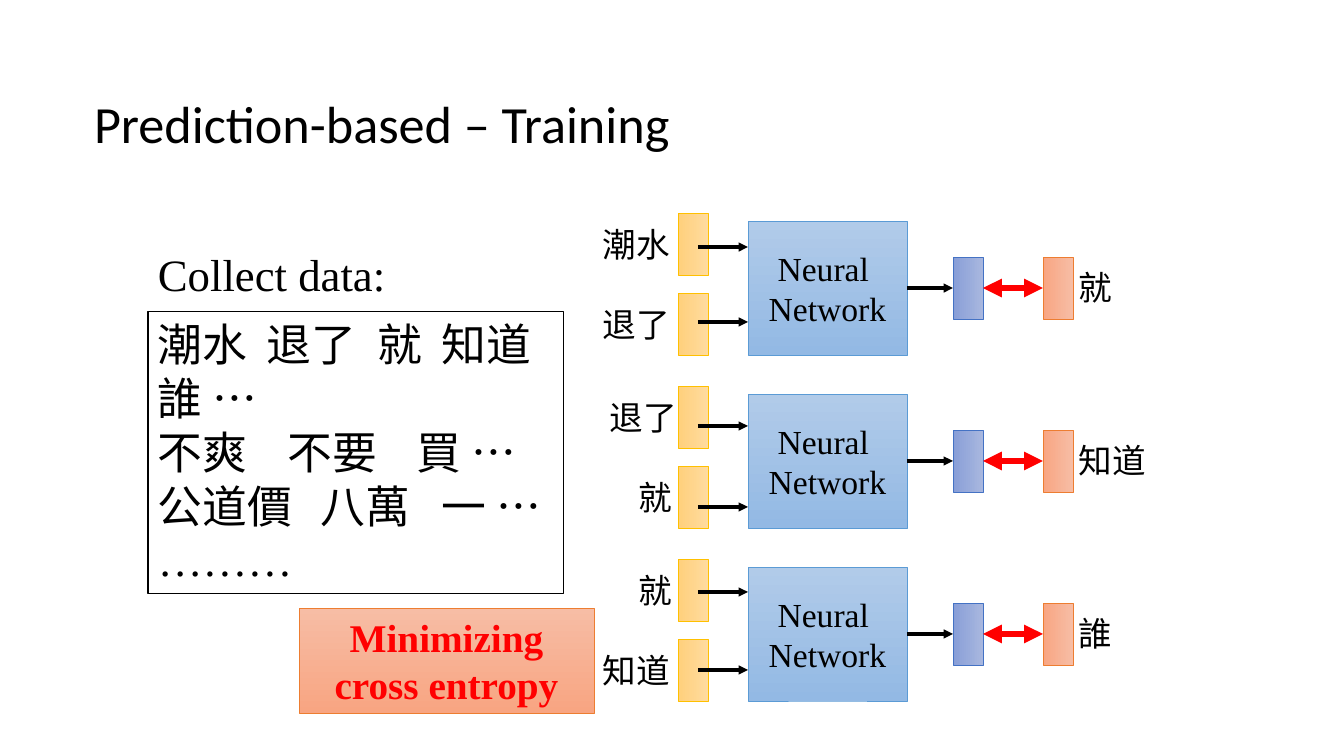
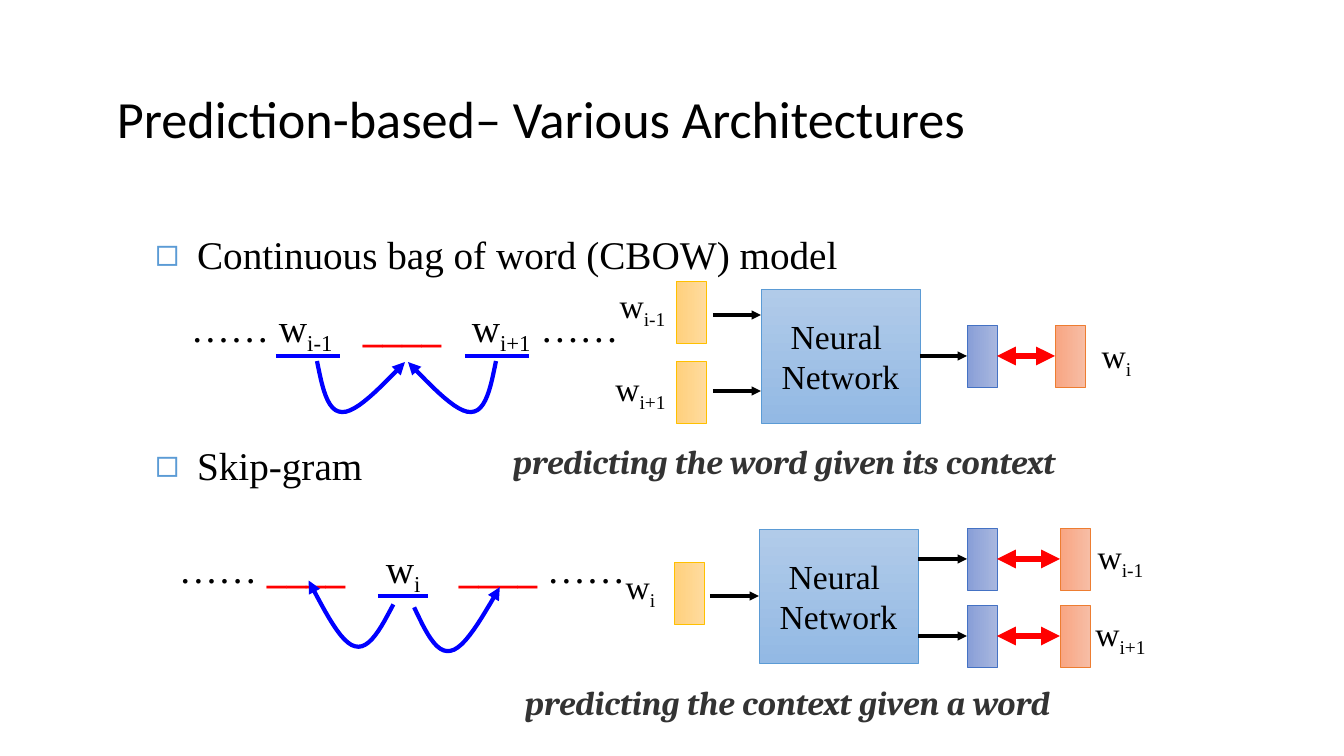
from lxml import etree
from pptx import Presentation
from pptx.dml.color import RGBColor
from pptx.enum.shapes import MSO_CONNECTOR, MSO_SHAPE
from pptx.enum.text import MSO_ANCHOR, PP_ALIGN
from pptx.oxml.ns import qn
from pptx.util import Pt

PX = 914400 / 100.8
RECT = MSO_SHAPE.RECTANGLE
LINE = MSO_CONNECTOR.STRAIGHT
LEFT, MID, RIGHT = PP_ALIGN.LEFT, PP_ALIGN.CENTER, PP_ALIGN.RIGHT
TOP, CENTRE = MSO_ANCHOR.TOP, MSO_ANCHOR.MIDDLE
WEST, EAST = 1, 3

BLACK = RGBColor(0x00, 0x00, 0x00)
GREY = RGBColor(0x33, 0x33, 0x33)
RED = RGBColor(0xFF, 0x00, 0x00)
BLUE = RGBColor(0x00, 0x00, 0xFF)
SKY = RGBColor(0x5B, 0x9B, 0xD5)

# Light end, dark end and outline of each gradient
NET = (RGBColor(0xB1, 0xCB, 0xE9), RGBColor(0x93, 0xB9, 0xE4), SKY)
GOLD = (RGBColor(0xFF, 0xDB, 0x9E), RGBColor(0xFF, 0xD0, 0x7C), RGBColor(0xFF, 0xC0, 0x00))
ROSE = (RGBColor(0xF7, 0xBD, 0xA5), RGBColor(0xF8, 0xA5, 0x82), RGBColor(0xED, 0x7D, 0x31))
IRIS = (RGBColor(0xA8, 0xB7, 0xDF), RGBColor(0x88, 0x9E, 0xD7), RGBColor(0x44, 0x72, 0xC4))
DOWN, BACK = 270, 180

SERIF, SANS, QUOTE = "Times New Roman", "Calibri", "Cambria"
BAR_W, BAR_H = 30, 62
NET_W, NET_H = 159, 134
HOOK = ((0, 0), (5, 25), (10, 51), (25, 51), (39, 52), (63, 27), (88, 1))


def px(n):
    return round(n * PX)


def curve(pts, steps=12):
    """Points along one cubic Bezier, without its start."""
    for k in range(1, steps + 1):
        t = k / steps
        u = 1 - t
        mix = (u ** 3, 3 * u * u * t, 3 * u * t * t, t ** 3)
        yield tuple(sum(m * p[axis] for m, p in zip(mix, pts)) for axis in (0, 1))


def tabs(para, stops):
    tab_list = etree.SubElement(para._p.get_or_add_pPr(), qn("a:tabLst"))
    for stop in stops:
        etree.SubElement(tab_list, qn("a:tab"), pos=str(px(stop)), algn="l")


class Deck:
    def __init__(self):
        self.show = Presentation()
        self.show.slide_width, self.show.slide_height = px(1344), px(756)

    def slide(self, layout, title, left, top):
        self.page = self.show.slides.add_slide(self.show.slide_layouts[layout])
        head = self.page.shapes.title
        self.place(head, left, top, 1200, 57)
        frame = head.text_frame
        frame.text = title
        frame.margin_left = frame.margin_right = frame.margin_top = frame.margin_bottom = 0
        frame.paragraphs[0].line_spacing = 0.9
        self.style(frame, 37.3, align=LEFT, anchor=CENTRE, font=SANS)

    def place(self, shape, *box):
        shape.left, shape.top, shape.width, shape.height = map(px, box)

    def style(self, frame, size, color=BLACK, align=LEFT, anchor=TOP,
              font=SERIF, bold=False, italic=False):
        frame.word_wrap = True
        frame.vertical_anchor = anchor
        for para in frame.paragraphs:
            para.alignment = align
            for run in para.runs:
                face = run.font
                face.name, face.size = font, Pt(size)
                face.bold, face.italic = bold, italic
                face.color.rgb = color

    def text(self, words, left, top, width, height, size=24, **look):
        box = self.page.shapes.add_textbox(*map(px, (left, top, width, height)))
        box.text_frame.text = words
        self.style(box.text_frame, size, **look)
        return box

    def rich(self, parts, left, top, width, height, size=24, align=MID, stops=()):
        """One line of (text, mark) parts; marks are 'sub', 'red' or ''."""
        box = self.text("", left, top, width, height)
        para = box.text_frame.paragraphs[0]
        for words, _ in parts:
            para.add_run().text = words
        self.style(box.text_frame, size, align=align)
        for run, (_, mark) in zip(para.runs, parts):
            if mark == "sub":
                run._r.get_or_add_rPr().set("baseline", "-25000")
            elif mark == "red":
                run.font.color.rgb, run.font.bold = RED, True
        if stops:
            tabs(para, stops)

    def word(self, sub, left, top):
        self.rich((("w", ""), (sub, "sub")), left, top, 79, 50)

    def rect(self, left, top, width, height, tone, angle=DOWN):
        shape = self.page.shapes.add_shape(RECT, *map(px, (left, top, width, height)))
        shape.shadow.inherit = False
        light, dark, edge = tone
        shape.fill.gradient()
        shape.fill.gradient_angle = angle
        for stop, color in zip(shape.fill.gradient_stops, (light, dark)):
            stop.color.rgb = color
        shape.line.color.rgb, shape.line.width = edge, Pt(0.5)
        return shape

    def bar(self, left, mid, tone):
        return self.rect(left, mid - BAR_H // 2, BAR_W, BAR_H, tone, BACK)

    def net(self, left, mid):
        shape = self.rect(left, mid - NET_H // 2, NET_W, NET_H, NET)
        shape.text_frame.text = "Neural \nNetwork"
        self.style(shape.text_frame, 24, align=MID, anchor=CENTRE)
        return shape

    def point(self, end):
        """EMU position of an (x, y) pair or a (shape, side) joint."""
        if isinstance(end[0], int):
            return px(end[0]), px(end[1])
        shape, side = end
        return (shape.left + (shape.width if side == EAST else 0),
                shape.top + shape.height // 2)

    def link(self, start, end, color=BLACK, width=2.25, heads=("tailEnd",)):
        wire = self.page.shapes.add_connector(LINE, *self.point(start), *self.point(end))
        for join, spot in ((wire.begin_connect, start), (wire.end_connect, end)):
            if not isinstance(spot[0], int):
                join(*spot)
        self.stroke(wire, color, width, heads)
        etree.SubElement(wire._element.spPr, qn("a:effectLst"))

    def stroke(self, shape, color, width, heads):
        shape.line.color.rgb, shape.line.width = color, Pt(width)
        for head in heads:
            etree.SubElement(shape.line._get_or_add_ln(), qn("a:" + head), type="triangle")

    def rule(self, left, right, y):
        self.link((left, y), (right, y), BLUE, 3, ())

    def hook(self, left, top, flip=False, turn=0):
        """Curved arrow, mirrored if flip, then turned by degrees."""
        pts = [(88 - x if flip else x, y) for x, y in HOOK]
        path = [*curve(pts[:4]), *curve(pts[3:])]
        pen = self.page.shapes.build_freeform(*map(px, pts[0]))
        pen.add_line_segments([(px(x), px(y)) for x, y in path], close=False)
        shape = pen.convert_to_shape(px(left), px(top))
        shape.shadow.inherit = False
        shape.fill.background()
        shape.rotation = turn
        self.stroke(shape, BLUE, 3, ("tailEnd",))

    def goal(self, start, mid, left, right):
        """Output bar fed from start, compared with its target bar."""
        out, aim = self.bar(left, mid, IRIS), self.bar(right, mid, ROSE)
        self.link(start, (out, WEST))
        self.link((out, EAST), (aim, WEST), RED, 4.5, ("headEnd", "tailEnd"))

    def list(self, items, left, top, width, height, gap):
        body = self.page.placeholders[1]
        self.place(body, left, top, width, height)
        body.text_frame.text = "\n".join(items)
        self.style(body.text_frame, 28)
        for k, para in enumerate(body.text_frame.paragraphs):
            para.space_before = Pt(gap if k else 0)
            props = para._p.get_or_add_pPr()
            props.set("marL", str(px(42)))
            props.set("indent", str(px(-42)))
            tint = etree.SubElement(props, qn("a:buClr"))
            etree.SubElement(tint, qn("a:srgbClr"), val=str(SKY))
            etree.SubElement(props, qn("a:buChar"), char="◻")


def train(deck):
    deck.slide(5, "Prediction-based – Training", 94, 98)
    deck.text("Collect data:", 148, 242, 270, 64, 32)
    lines = (("潮水\t退了\t就\t知道 誰 …", (109, 220, 284)),
             ("不爽\t不要\t買 …", (130, 259)),
             ("公道價\t八萬\t一 …", (163, 284)),
             ("………", ()))
    data = deck.text("\n".join(words for words, _ in lines), 148, 312, 416, 282, 32)
    data.line.color.rgb, data.line.width = BLACK, Pt(0.75)
    for para, (_, stops) in zip(data.text_frame.paragraphs, lines):
        if stops:
            tabs(para, stops)

    note = deck.rect(299, 608, 295, 105, ROSE)
    note.text_frame.text = "Minimizing cross entropy"
    deck.style(note.text_frame, 28, RED, MID, bold=True)

    # Each input: word, its left, height of its arrow
    rows = (((("潮水", 554, 247), ("退了", 554, 322)), "就"),
            ((("退了", 561, 426), ("就", 556, 507)), "知道"),
            ((("就", 556, 592), ("知道", 554, 670)), "誰"))
    for k, (inputs, answer) in enumerate(rows):
        mid = 288 + 173 * k
        net = deck.net(748, mid)
        for (word, left, y), shift in zip(inputs, (-44, 36)):
            deck.text(word, left, mid + shift - 25, 126, 50, align=RIGHT)
            deck.bar(678, mid + shift, GOLD)
            deck.link((698, y), (748, y))
        deck.goal((net, EAST), mid, 953, 1043)
        deck.text(answer, 1069, mid - 26, 126, 50)


def kinds(deck):
    deck.slide(1, "Prediction-based– Various Architectures", 117, 93)
    deck.list(("Continuous bag of word (CBOW) model", "Skip-gram"),
              145, 225, 1010, 268, 117)

    blank = ("____", "red")
    deck.rich((("…… w", ""), ("i-1\t", "sub"), blank, ("\tw", ""), ("i+1", "sub"),
               (" ……", "")), 181, 298, 471, 57, 28, LEFT, (172, 281))
    deck.rule(276, 340, 356)
    deck.rule(465, 529, 356)
    deck.hook(317, 361)
    deck.hook(408, 361, True)
    net = deck.net(761, 356)
    for sub, left, top, mid, y in (("i-1", 603, 280, 312, 315), ("i+1", 601, 363, 392, 391)):
        deck.word(sub, left, top)
        deck.bar(676, mid, GOLD)
        deck.link((713, y), (761, y))
    deck.goal((net, EAST), 356, 967, 1055)
    deck.word("i", 1077, 330)

    deck.rich((("…… ", ""), blank, ("\tw", ""), ("i\t", "sub"), blank, (" ……", "")),
              169, 539, 471, 57, 28, LEFT, (207, 280))
    deck.rule(378, 428, 596)
    deck.hook(300, 591, True, 16.4)
    deck.hook(419, 596, turn=-13.9)
    net = deck.net(759, 596)
    deck.word("i", 601, 561)
    deck.bar(674, 593, GOLD)
    deck.link((710, 596), (net, WEST))
    for sub, mid in (("i-1", 559), ("i+1", 636)):
        deck.goal((759 + NET_W, mid), mid, 967, 1060)
        deck.word(sub, 1081, mid - 28)

    for words, left, top in (("predicting the word given its context", 503, 436),
                             ("predicting the context given a word", 515, 677)):
        deck.text(words, left, top, 670, 50, color=GREY, font=QUOTE, bold=True, italic=True)


def main():
    deck = Deck()
    train(deck)
    kinds(deck)
    deck.show.save("out.pptx")


if __name__ == "__main__":
    main()
